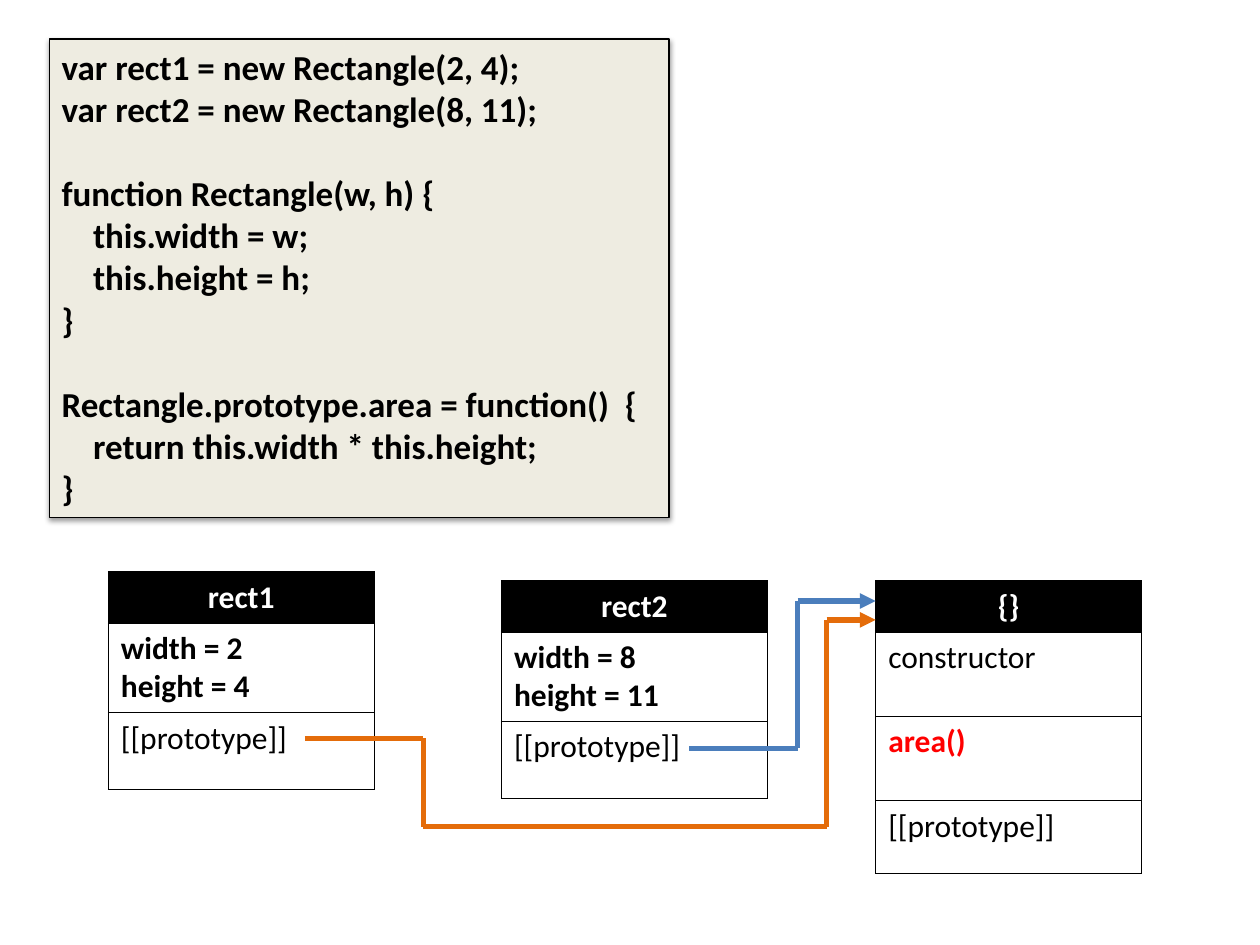
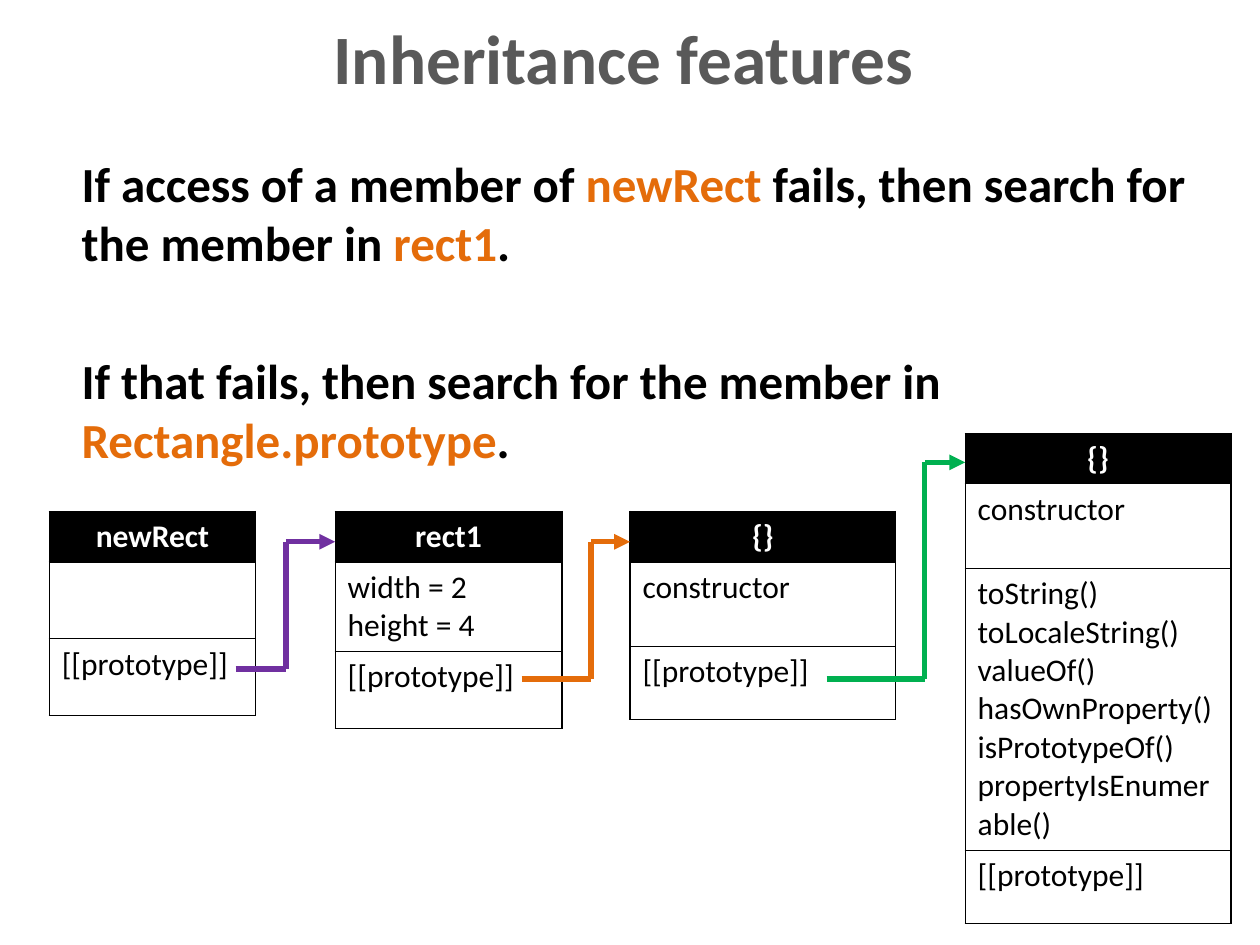
from dataclasses import dataclass

from lxml import etree
from pptx import Presentation
from pptx import util as u
from pptx.dml.color import RGBColor
from pptx.enum import shapes, text
from pptx.oxml import parse_xml
from pptx.oxml.ns import nsdecls, qn

COLUMNS, ROWS = 100, 75


@dataclass(frozen=True)
class Theme:
    font: str = "Calibri"
    ink: str = "000000"
    paper: str = "FFFFFF"
    heading: str = "595959"
    code_fill: str = "EEECE1"
    method: str = "FF0000"
    orange: str = "E46C0A"
    blue: str = "4B7EBC"
    purple: str = "7030A0"
    green: str = "00B050"
    title_size: float = 39.6
    body_size: float = 28
    code_size: float = 20
    card_size: float = 18
    outline: float = 0.75
    arrow: float = 3


THEME = Theme()


@dataclass
class Line:
    """A paragraph: (text, colour) runs, space before in points, indent in columns."""
    runs: list
    before: float = 0
    indent: float = 0


def plain(*lines, color=THEME.ink):
    return [Line([(words, color)]) for words in lines]


class Deck:
    def __init__(self, theme):
        self.theme = theme
        self.file = Presentation()
        self.file.slide_width, self.file.slide_height = u.Inches(10), u.Inches(7.5)
        self.slide = None

    def new_slide(self):
        self.slide = self.file.slides.add_slide(self.file.slide_layouts[6])

    def x(self, columns):
        return round(self.file.slide_width * columns / COLUMNS)

    def y(self, rows):
        return round(self.file.slide_height * rows / ROWS)

    def box(self, left, top, width, height):
        return self.x(left), self.y(top), self.x(width), self.y(height)

    def fill_text(self, frame, lines, size, bold=True, align=text.PP_ALIGN.LEFT):
        frame.word_wrap = True
        for number, line in enumerate(lines):
            paragraph = frame.add_paragraph() if number else frame.paragraphs[0]
            paragraph.alignment = align
            paragraph.space_before = u.Pt(line.before)
            if line.indent:
                paragraph._p.get_or_add_pPr().set("marL", str(self.x(line.indent)))
            for words, color in line.runs:
                run = paragraph.add_run()
                run.text = words
                run.font.name, run.font.size = self.theme.font, u.Pt(size)
                run.font.bold = bold
                run.font.color.rgb = RGBColor.from_string(color)

    def title(self, words):
        frame = self.slide.shapes.add_textbox(*self.box(7, 1.6, 85, 5.8)).text_frame
        frame.vertical_anchor = text.MSO_ANCHOR.MIDDLE
        self.fill_text(frame, plain(words, color=self.theme.heading),
                       self.theme.title_size, align=text.PP_ALIGN.CENTER)

    def body(self, place, lines):
        frame = self.slide.shapes.add_textbox(*self.box(*place)).text_frame
        self.fill_text(frame, lines, self.theme.body_size)

    def code(self, place, lines):
        panel = self.slide.shapes.add_shape(shapes.MSO_SHAPE.RECTANGLE, *self.box(*place))
        panel.fill.solid()
        panel.fill.fore_color.rgb = RGBColor.from_string(self.theme.code_fill)
        panel.line.color.rgb = RGBColor.from_string(self.theme.ink)
        panel.line.width = u.Pt(self.theme.outline)
        panel.shadow.inherit = False
        panel._element.spPr.find(qn("a:effectLst")).append(parse_xml(
            f'<a:outerShdw {nsdecls("a")} blurRad="{u.Pt(3.1)}" dist="{u.Pt(1.6)}" '
            f'dir="5400000" rotWithShape="0"><a:srgbClr val="{self.theme.ink}">'
            '<a:alpha val="38000"/></a:srgbClr></a:outerShdw>'))
        panel.text_frame.vertical_anchor = text.MSO_ANCHOR.TOP
        self.fill_text(panel.text_frame, lines, self.theme.code_size)

    def paint_cell(self, cell, fill):
        properties = cell._tc.get_or_add_tcPr()
        for side in "LRTB":
            properties.append(parse_xml(
                f'<a:ln{side} {nsdecls("a")} w="{u.Pt(self.theme.outline)}"><a:solidFill>'
                f'<a:srgbClr val="{self.theme.ink}"/></a:solidFill></a:ln{side}>'))
        cell.fill.solid()
        cell.fill.fore_color.rgb = RGBColor.from_string(fill)

    def object_card(self, left, top, width, name, *sections):
        """Draw an object as a table; each section is (rows, lines, bold)."""
        head_rows = 4
        total = head_rows + sum(rows for rows, _, _ in sections)
        table = self.slide.shapes.add_table(
            len(sections) + 1, 1, *self.box(left, top, width, total)).table
        table.first_row = table.horz_banding = False
        table.rows[0].height = self.y(head_rows)
        head = table.cell(0, 0)
        self.paint_cell(head, self.theme.ink)
        self.fill_text(head.text_frame, plain(name, color=self.theme.paper),
                       self.theme.card_size, align=text.PP_ALIGN.CENTER)
        for number, (rows, lines, bold) in enumerate(sections, 1):
            table.rows[number].height = self.y(rows)
            cell = table.cell(number, 0)
            self.paint_cell(cell, self.theme.paper)
            self.fill_text(cell.text_frame, lines, self.theme.card_size, bold)

    def route(self, color, column, row, *turns):
        """Draw a right-angled arrow; turns are in turn the next column and next row."""
        for number, turn in enumerate(turns):
            start = column, row
            column, row = (column, turn) if number % 2 else (turn, row)
            segment = self.slide.shapes.add_connector(
                shapes.MSO_CONNECTOR.STRAIGHT, self.x(start[0]), self.y(start[1]),
                self.x(column), self.y(row))
            segment.line.color.rgb = RGBColor.from_string(color)
            segment.line.width = u.Pt(self.theme.arrow)
            etree.SubElement(segment._element.spPr, qn("a:effectLst"))
        line = segment._element.spPr.find(qn("a:ln"))
        etree.SubElement(line, qn("a:tailEnd"), type="triangle")


PROTOTYPE = (6.1, plain("[[prototype]]"), False)
LAST_PROTOTYPE = (5.8, plain("[[prototype]]"), False)
CONSTRUCTOR = (6.7, plain("constructor"), False)
CARD_WIDTH = 21.1


def size_section(width, height, bold):
    return 7.1, plain(f"width = {width}", f"height = {height}"), bold


def shared_prototype(deck):
    t = deck.theme
    deck.new_slide()
    code_gap, code_indent = 24.4, 2.5
    code = plain(
        "var rect1 = new Rectangle(2, 4);",
        "var rect2 = new Rectangle(8, 11);",
        "function Rectangle(w, h) {",
        "this.width = w;",
        "this.height = h;",
        "}",
        "Rectangle.prototype.area = function()  {",
        "return this.width * this.height;",
        "}")
    for line in code:
        words = line.runs[0][0]
        if words.startswith(("function", "Rectangle")):
            line.before = code_gap
        elif words.startswith(("this", "return")):
            line.indent = code_indent
    deck.code((3.9, 3.1, 49.2, 38), code)
    deck.object_card(8.6, 45.4, CARD_WIDTH, "rect1", size_section(2, 4, True), PROTOTYPE)
    deck.object_card(39.8, 46.1, CARD_WIDTH, "rect2", size_section(8, 11, True), PROTOTYPE)
    deck.object_card(69.5, 46.1, CARD_WIDTH, "{}", CONSTRUCTOR,
                     (6.7, plain("area()", color=t.method), True), LAST_PROTOTYPE)
    deck.route(t.orange, 24.2, 58.6, 33.6, 65.6, 65.6, 49.2, 69.5)
    deck.route(t.blue, 54.7, 59.4, 63.3, 47.7, 69.5)


def inheritance_features(deck):
    t = deck.theme
    deck.new_slide()
    deck.title("Inheritance features")
    deck.body((5.5, 11.7, 90, 55.8), [
        Line([("If access of a member of ", t.ink), ("newRect", t.orange),
              (" fails, then search for the member in ", t.ink),
              ("rect1", t.orange), (".", t.ink)], before=5.6),
        Line([("If that fails, then search for the member in ", t.ink),
              ("Rectangle.prototype", t.orange), (".", t.ink)], before=45.4)])
    chain_top = 40.6
    deck.object_card(3.9, chain_top, 16.4, "newRect", (6.1, [], False), PROTOTYPE)
    deck.object_card(26.6, chain_top, 18, "rect1", size_section(2, 4, False), PROTOTYPE)
    deck.object_card(50, chain_top, CARD_WIDTH, "{}", CONSTRUCTOR, LAST_PROTOTYPE)
    built_ins = plain("toString()", "toLocaleString()", "valueOf()", "hasOwnProperty()",
                      "isPrototypeOf()", "propertyIsEnumerable()")
    deck.object_card(76.6, 34.4, CARD_WIDTH, "{}", CONSTRUCTOR,
                     (22.4, built_ins, False), LAST_PROTOTYPE)
    deck.route(t.purple, 18.7, 53.1, 22.7, 43, 26.6)
    deck.route(t.orange, 41.4, 53.9, 46.9, 43, 50)
    deck.route(t.green, 65.6, 53.9, 73.4, 36.7, 76.6)


def main():
    deck = Deck(THEME)
    shared_prototype(deck)
    inheritance_features(deck)
    deck.file.save("out.pptx")


if __name__ == "__main__":
    main()
